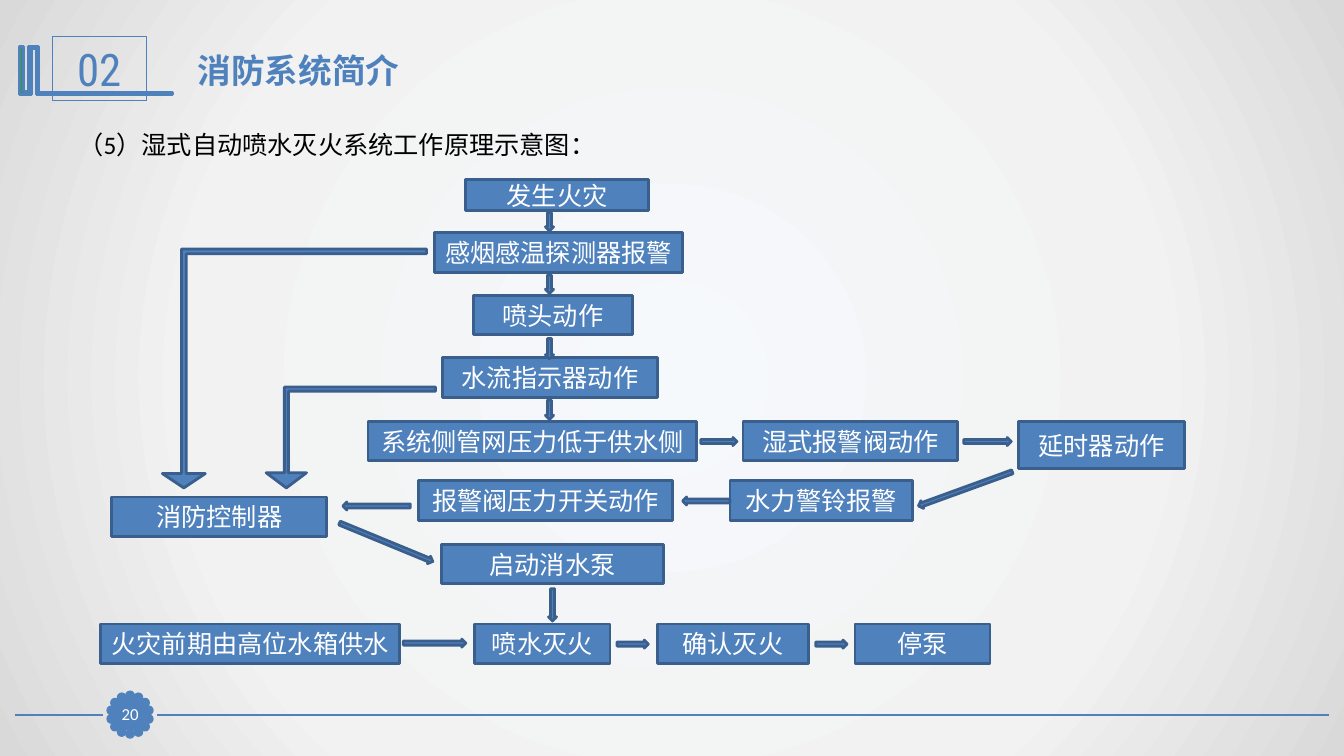
import dataclasses
import math

import pptx
import pptx.dml.color
import pptx.enum.shapes
import pptx.enum.text
import pptx.oxml
import pptx.oxml.ns
import pptx.util

Inches = pptx.util.Inches
Pt = pptx.util.Pt
RGB = pptx.dml.color.RGBColor.from_string
SHAPE = pptx.enum.shapes.MSO_SHAPE
ALIGN = pptx.enum.text.PP_ALIGN
ANCHOR = pptx.enum.text.MSO_ANCHOR
NO_AUTOFIT = pptx.enum.text.MSO_AUTO_SIZE.NONE


@dataclasses.dataclass(frozen=True)
class Theme:
    accent: str = "4F81BD"
    outline: str = "3A5F8C"
    green: str = "339933"
    white: str = "FFFFFF"
    black: str = "000000"
    background: tuple = ((0, "F6F9FC"), (63, "F2F2F2"), (100, "D9D9D9"))
    body_font: str = "Calibri"
    number_font: str = "Roboto Condensed"
    section_size: int = 32
    title_size: int = 24
    body_size: int = 18
    page_size: int = 12


theme = Theme()
presentation = pptx.Presentation()
presentation.slide_width = Inches(13.33)
presentation.slide_height = Inches(7.5)
slide = presentation.slides.add_slide(presentation.slide_layouts[5])


def write(shape, text, size, color, font=theme.body_font, bold=False,
          align=ALIGN.CENTER, anchor=ANCHOR.MIDDLE, wrap=True, side=0.0):
    """Put one formatted paragraph into the shape; side is the left and right inset."""
    frame = shape.text_frame
    frame_format = {"auto_size": NO_AUTOFIT, "word_wrap": wrap, "vertical_anchor": anchor,
                    "margin_left": Inches(side), "margin_right": Inches(side)}
    for name, value in frame_format.items():
        setattr(frame, name, value)
    paragraph = frame.paragraphs[0]
    paragraph.alignment = align
    run = paragraph.add_run()
    run.text = text
    for name, value in {"name": font, "size": Pt(size), "bold": bold}.items():
        setattr(run.font, name, value)
    run.font.color.rgb = RGB(color)


def add_shape(kind, place, fill=theme.accent, line=theme.outline, line_width=2):
    """Add a preset shape at place (left, top, width, height in inches)."""
    shape = slide.shapes.add_shape(kind, *map(Inches, place))
    shape.shadow.inherit = False
    if fill:
        shape.fill.solid()
        shape.fill.fore_color.rgb = RGB(fill)
    else:
        shape.fill.background()
    shape.line.color.rgb = RGB(line)
    shape.line.width = Pt(line_width)
    return shape


# Background: radial gradient
slide.background.fill.solid()
background = slide.element.find(".//" + pptx.oxml.ns.qn("p:bgPr"))
stops = "".join(
    f'<a:gs pos="{position * 1000}"><a:srgbClr val="{color}"/></a:gs>'
    for position, color in theme.background)
background.replace(background[0], pptx.oxml.parse_xml(
    f'<a:gradFill {pptx.oxml.ns.nsdecls("a")} rotWithShape="1"><a:gsLst>{stops}</a:gsLst>'
    '<a:path path="circle"><a:fillToRect l="50000" t="50000" r="50000" b="50000"/></a:path>'
    '</a:gradFill>'))

# Footer: rule on both sides of a scalloped page badge
for start, end in [(13.18, 1.56), (1.02, 0.15)]:
    rule = slide.shapes.add_connector(
        pptx.enum.shapes.MSO_CONNECTOR.STRAIGHT,
        Inches(start), Inches(7.09), Inches(end), Inches(7.09))
    rule.line.color.rgb = RGB(theme.accent)
    rule.line.width = Pt(1.25)
    rule.element.spPr.append(
        pptx.oxml.parse_xml(f'<a:effectLst {pptx.oxml.ns.nsdecls("a")}/>'))

scallops, ring_radius, dot = 14, 0.19, 0.07
for index in range(scallops):
    angle = math.tau * index / scallops
    left = 1.29 + ring_radius * math.sin(angle) - dot / 2
    top = 7.09 - ring_radius * math.cos(angle) - dot / 2
    add_shape(SHAPE.OVAL, (left, top, dot, dot), line=theme.accent)
page_badge = add_shape(SHAPE.RECTANGLE, (1.13, 6.93, 0.32, 0.31),
                       line=theme.accent, line_width=0.75)
write(page_badge, "20", theme.page_size, theme.white)

# Header: bracket outline in hundredths of an inch, section number, title
bracket_points = [(38, 46), (38, 92), (171, 92), (171, 94), (36, 94), (36, 48), (31, 48),
                  (31, 94), (19, 94), (19, 46), (23, 46), (23, 91), (28, 91), (28, 46)]
builder = slide.shapes.build_freeform(*bracket_points[0], scale=Inches(0.01))
builder.add_line_segments(bracket_points[1:], close=True)
bracket = builder.convert_to_shape()
bracket.shadow.inherit = False
bracket.fill.solid()
bracket.fill.fore_color.rgb = RGB(theme.green)
bracket.line.color.rgb = RGB(theme.accent)
bracket.line.width = Pt(2)

section = add_shape(SHAPE.RECTANGLE, (0.52, 0.36, 0.93, 0.64), fill=None,
                    line=theme.accent, line_width=0.75)
write(section, "02", theme.section_size, theme.accent, font=theme.number_font)

title = slide.shapes.title
title_place = {"left": 1.86, "top": 0.44, "width": 9.69, "height": 0.91}
for name, value in title_place.items():
    setattr(title, name, Inches(value))
write(title, "消防系统简介", theme.title_size, theme.accent, bold=True,
      align=ALIGN.LEFT, anchor=ANCHOR.TOP, side=0.1)

caption = slide.shapes.add_textbox(*map(Inches, (0.68, 1.23, 5.38, 0.4)))
write(caption, "（5）湿式自动喷水灭火系统工作原理示意图：", theme.body_size, theme.black,
      align=ALIGN.LEFT, anchor=ANCHOR.TOP, wrap=False, side=0.1)

# Flow chart boxes: text, left, top, width, height
box_height = 0.39
steps = [
    ("发生火灾", 4.62, 1.78, 1.81, 0.31),
    ("感烟感温探测器报警", 4.31, 2.31, 2.46, box_height),
    ("喷头动作", 4.7, 2.93, 1.57, box_height),
    ("水流指示器动作", 4.39, 3.55, 2.13, box_height),
    ("系统侧管网压力低于供水侧", 3.65, 4.18, 3.26, box_height),
    ("湿式报警阀动作", 7.37, 4.18, 2.13, box_height),
    ("延时器动作", 10.1, 4.18, 1.65, 0.47),
    ("水力警铃报警", 7.24, 4.77, 1.81, box_height),
    ("报警阀压力开关动作", 4.15, 4.77, 2.52, box_height),
    ("消防控制器", 1.11, 4.93, 2.13, box_height),
    ("启动消水泵", 4.38, 5.4, 2.2, box_height),
    ("火灾前期由高位水箱供水", 1, 6.19, 2.96, box_height),
    ("喷水灭火", 4.71, 6.19, 1.34, box_height),
    ("确认灭火", 6.52, 6.19, 1.5, box_height),
    ("停泵", 8.48, 6.19, 1.34, box_height),
]
for text, *place in steps:
    write(add_shape(SHAPE.RECTANGLE, place), text, theme.body_size, theme.white)

# Straight arrows: left, top, length, rotation
thickness = 0.08
down_arrows = [(5.41, 2.11, 0.18), (5.41, 2.73, 0.18), (5.41, 3.36, 0.2),
               (5.41, 3.97, 0.19), (5.44, 5.84, 0.32)]
for left, top, length in down_arrows:
    add_shape(SHAPE.DOWN_ARROW, (left, top, thickness, length))

side_arrows = {
    SHAPE.RIGHT_ARROW: [(6.95, 4.34, 0.36, 0), (9.56, 4.34, 0.47, 0), (3.33, 5.34, 1, 22.4),
                        (4, 6.34, 0.62, 0), (6.12, 6.35, 0.31, 0), (8.09, 6.35, 0.31, 0)],
    SHAPE.LEFT_ARROW: [(9.08, 4.81, 0.99, 340), (6.77, 4.93, 0.47, 0), (3.4, 4.98, 0.67, 0)],
}
for kind, arrows in side_arrows.items():
    for left, top, length, rotation in arrows:
        add_shape(kind, (left, top, length, thickness)).rotation = rotation

# Bent arrows from the detectors down to the controller
bent_arrows = [((2.64, 3.84, 1.68, 1), (0.04, 0.2, 0.15)),
               ((1.61, 2.47, 2.62, 2.37), (0.02, 0.09, 0.06))]
for place, adjustments in bent_arrows:
    arrow = add_shape(SHAPE.BENT_UP_ARROW, place)
    arrow.rotation = 180
    for index, value in enumerate(adjustments):
        arrow.adjustments[index] = value

presentation.save("out.pptx")
